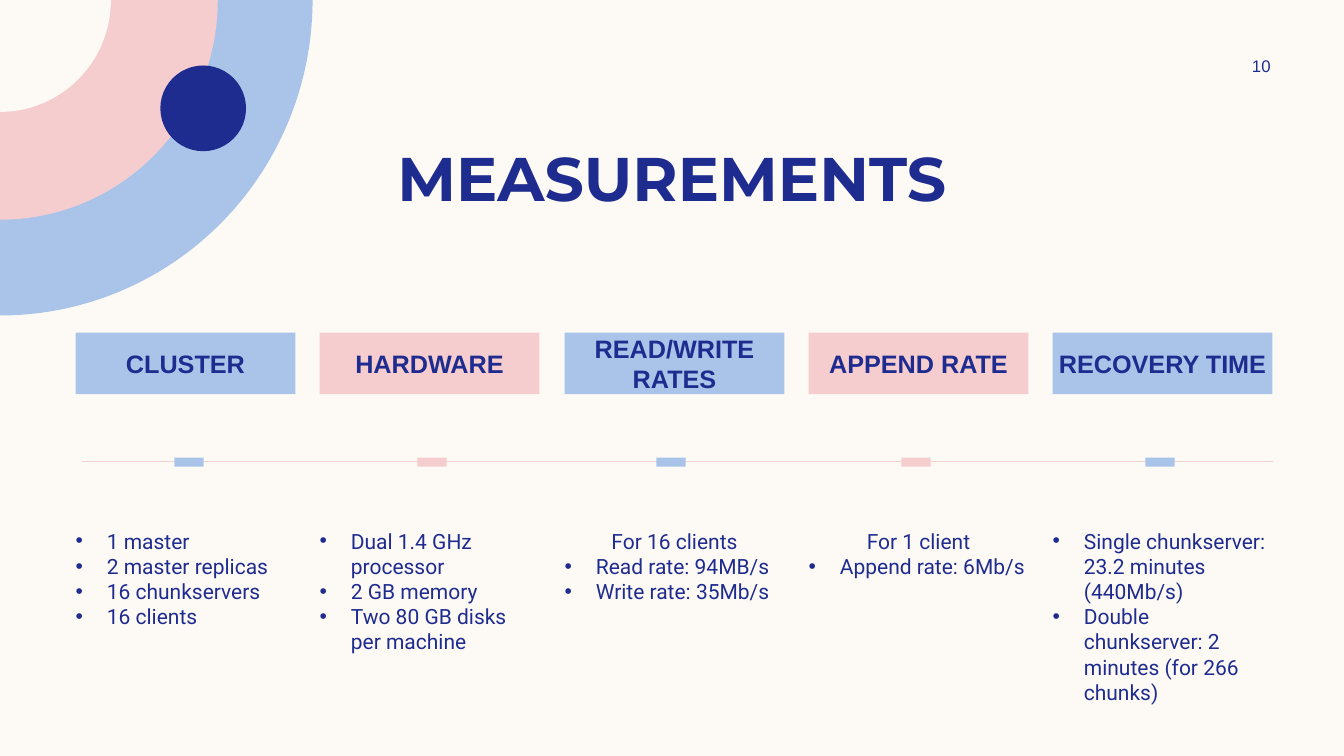
from lxml.etree import SubElement
from pptx import Presentation
from pptx.dml.color import RGBColor
from pptx.enum.shapes import MSO_CONNECTOR, MSO_SHAPE
from pptx.enum.text import MSO_ANCHOR, PP_ALIGN
from pptx.oxml.ns import qn
from pptx.util import Pt

PX = 9144  # EMU per px, 100 px to the inch
CREAM = RGBColor(0xFD, 0xFA, 0xF6)
BLUE = RGBColor(0xAA, 0xC3, 0xE8)
PINK = RGBColor(0xF5, 0xCD, 0xCE)
LINE_PINK = RGBColor(0xF2, 0xD1, 0xD1)
NAVY = RGBColor(0x1F, 0x2C, 0x8F)

# heading, marker left, centred lead line, bullets
COLUMNS = [
    ("CLUSTER", 173, None,
     ["1 master", "2 master replicas", "16 chunkservers", "16 clients"]),
    ("HARDWARE", 414, None,
     ["Dual 1.4 GHz processor", "2 GB memory", "Two 80 GB disks per machine"]),
    ("READ/WRITE RATES", 651, "For 16 clients",
     ["Read rate: 94MB/s", "Write rate: 35Mb/s"]),
    ("APPEND RATE", 894, "For 1 client", ["Append rate: 6Mb/s"]),
    ("RECOVERY TIME", 1136, None,
     ["Single chunkserver: 23.2 minutes (440Mb/s)",
      "Double chunkserver: 2 minutes (for 266 chunks)"]),
]
FIRST_LEFT, LAST_LEFT = 75, 1044
COLUMN_WIDTH = 218
LINE_Y = 458

deck = Presentation()
deck.slide_width, deck.slide_height = 1333 * PX, 750 * PX
page = deck.slides.add_slide(deck.slide_layouts[6])
page.background.fill.solid()
page.background.fill.fore_color.rgb = CREAM


def add_block(kind, left, top, width, height, color):
    shape = page.shapes.add_shape(kind, left * PX, top * PX, width * PX, height * PX)
    shape.shadow.inherit = False
    shape.fill.solid()
    shape.fill.fore_color.rgb = color
    shape.line.fill.background()
    return shape


def write(shape, lines, font_name, size, bold=False, anchor=MSO_ANCHOR.TOP, inset=(0, 0)):
    frame = shape.text_frame
    frame.word_wrap = True
    frame.vertical_anchor = anchor
    frame.margin_left = frame.margin_right = inset[0] * PX
    frame.margin_top = frame.margin_bottom = inset[1] * PX
    frame.text = "\n".join(lines)
    for para in frame.paragraphs:
        para.alignment = PP_ALIGN.CENTER
        for span in para.runs:
            span.font.name = font_name
            span.font.size = Pt(size)
            span.font.bold = bold
            span.font.color.rgb = NAVY
    return frame


# Corner quarter discs, largest first, and the dot
for width, height, color in [(310, 313, BLUE), (216, 218, PINK), (110, 111, CREAM)]:
    add_block(MSO_SHAPE.PIE_WEDGE, 0, 0, width, height, color).rotation = 180
add_block(MSO_SHAPE.OVAL, 159, 65, 85, 85, NAVY)

# Timeline
timeline = page.shapes.add_connector(
    MSO_CONNECTOR.STRAIGHT, 81 * PX, LINE_Y * PX, 1263 * PX, LINE_Y * PX)
timeline.line.color.rgb = LINE_PINK
timeline.line.width = Pt(1)
SubElement(timeline._element.spPr, qn("a:effectLst"))

# Title and page number
title = page.shapes.add_textbox(83 * PX, 133 * PX, 1167 * PX, 84 * PX)
write(title, ["MEASUREMENTS"], "Montserrat", 44, True, MSO_ANCHOR.MIDDLE, (10, 5))
number = page.shapes.add_textbox(1197 * PX, 50 * PX, 108 * PX, 30 * PX)
write(number, ["10"], "Arial", 12, False, MSO_ANCHOR.MIDDLE, (10, 5))

# Columns: heading, marker on the line, details
pitch = (LAST_LEFT - FIRST_LEFT) / (len(COLUMNS) - 1)
for index, (heading, marker_left, lead, bullets) in enumerate(COLUMNS):
    left = round(FIRST_LEFT + index * pitch)
    color = PINK if index % 2 else BLUE

    header = add_block(MSO_SHAPE.RECTANGLE, left, 330, COLUMN_WIDTH, 61, color)
    write(header, [heading], "Arial", 18, True, MSO_ANCHOR.MIDDLE)
    add_block(MSO_SHAPE.RECTANGLE, marker_left, LINE_Y - 4, 29, 9, color)

    details = page.shapes.add_textbox(left * PX, 519 * PX, COLUMN_WIDTH * PX, 87 * PX)
    lines = ([lead] if lead else []) + bullets
    frame = write(details, lines, "Roboto", 15, inset=(0, 5))
    for para in frame.paragraphs[-len(bullets):]:
        para.alignment = PP_ALIGN.LEFT
        properties = para._p.get_or_add_pPr()
        properties.set("marL", str(31 * PX))
        properties.set("indent", str(-31 * PX))
        SubElement(properties, qn("a:buFont"), typeface="Arial")
        SubElement(properties, qn("a:buChar"), char="•")

deck.save("out.pptx")
